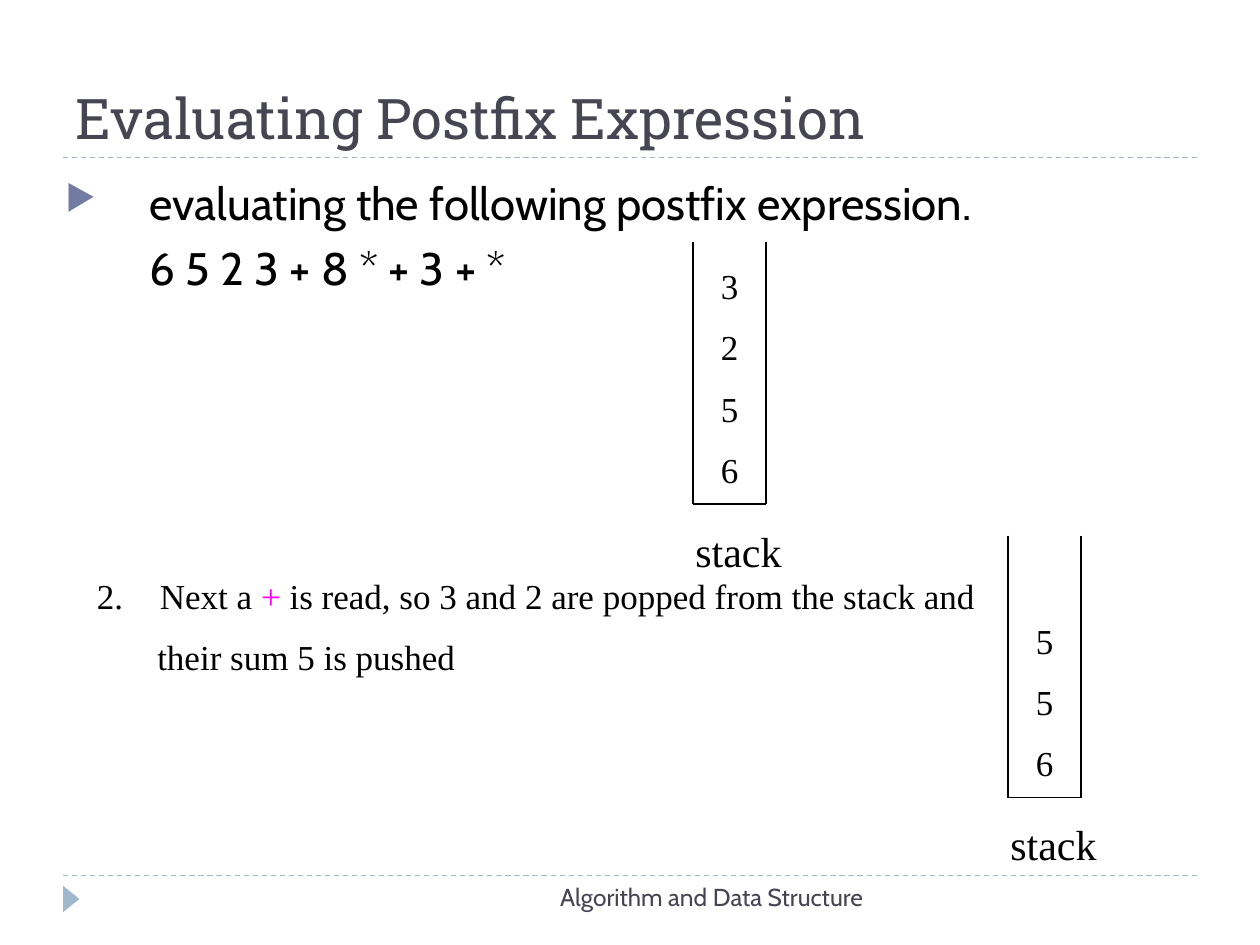
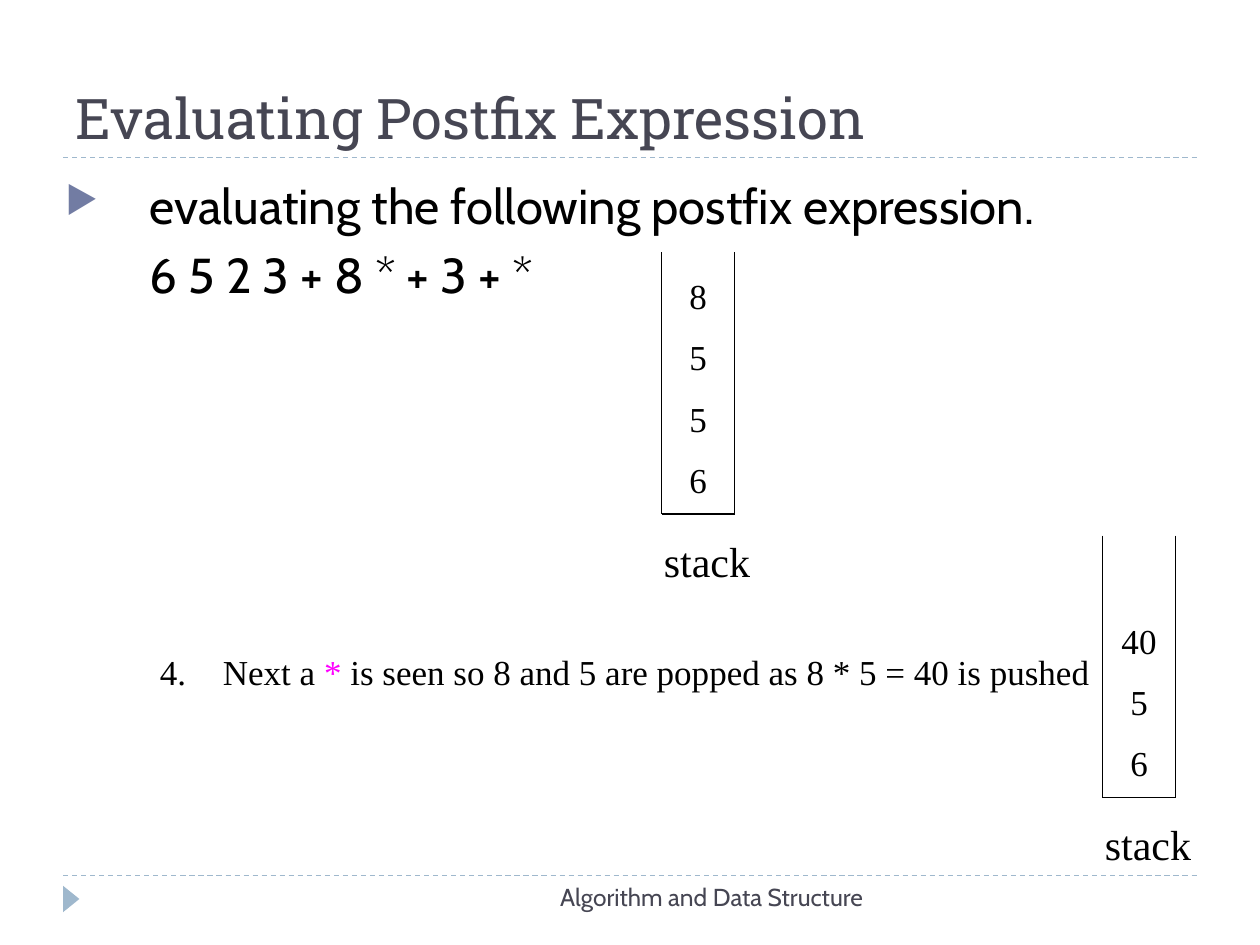
from lxml import etree
from pptx import Presentation
from pptx.dml.color import RGBColor
from pptx.enum.dml import MSO_LINE
from pptx.enum.shapes import MSO_CONNECTOR, MSO_SHAPE
from pptx.enum.text import MSO_ANCHOR, MSO_AUTO_SIZE, PP_ALIGN
from pptx.oxml.ns import qn
from pptx.util import Inches, Pt

STRAIGHT = MSO_CONNECTOR.STRAIGHT
TRIANGLE = MSO_SHAPE.ISOSCELES_TRIANGLE
DASH = MSO_LINE.DASH
TOP, BOTTOM = MSO_ANCHOR.TOP, MSO_ANCHOR.BOTTOM
LEFT, CENTER, RIGHT = PP_ALIGN.LEFT, PP_ALIGN.CENTER, PP_ALIGN.RIGHT

BLACK = RGBColor(0x00, 0x00, 0x00)
SLATE = RGBColor(0x46, 0x46, 0x53)
PALE_BLUE = RGBColor(0x9F, 0xB8, 0xCD)
BULLET_BLUE = RGBColor(0x72, 0x7C, 0xA3)
MAGENTA = RGBColor(0xFF, 0x00, 0xFF)

HEADING_FONT = "Roboto Slab"
BODY_FONT = "Cabin"
FIGURE_FONT = "Times New Roman"

TITLE = "Evaluating Postfix Expression"
FOOTER = "Algorithm and Data Structure"
TASK = ["evaluating the following postfix expression.", "6 5 2 3 + 8 * + 3 + *"]

STACK_WIDTH, STACK_HEIGHT = 0.58, 2.08


def style_runs(paragraph, font, size, color):
    for run in paragraph.runs:
        run.font.name = font
        run.font.size = Pt(size)
        run.font.color.rgb = color


def indent(paragraph, margin, first_line=0):
    properties = paragraph._p.get_or_add_pPr()
    properties.set("marL", str(Inches(margin)))
    properties.set("indent", str(Inches(first_line)))
    return properties


class Deck:
    def __init__(self):
        self.presentation = Presentation()
        self.presentation.slide_width = Inches(10)
        self.presentation.slide_height = Inches(7.5)
        self.slide = None

    def new_slide(self):
        """Start a slide with the shared title, rules and footer."""
        layout = self.presentation.slide_layouts[5]
        self.slide = self.presentation.slides.add_slide(layout)
        for y in (6.95, 1.25):
            self.line(0.5, y, 9.5, y, PALE_BLUE, DASH)
        self.corner_marker()
        self.title()
        self.text([FOOTER], 3.17, 6.95, 3.78, 0.4, 14, BODY_FONT, SLATE, RIGHT)

    def title(self):
        title = self.slide.shapes.title
        title.left, title.top = Inches(0.5), Inches(0.17)
        title.width, title.height = Inches(9), Inches(1.08)
        frame = title.text_frame
        frame.text = TITLE
        frame.auto_size = MSO_AUTO_SIZE.NONE
        frame.vertical_anchor = BOTTOM
        frame.paragraphs[0].alignment = LEFT
        style_runs(frame.paragraphs[0], HEADING_FONT, 32, SLATE)

    def corner_marker(self):
        marker = self.slide.shapes.add_shape(
            TRIANGLE, Inches(0.46), Inches(7.07), Inches(0.21), Inches(0.13))
        marker.rotation = 90
        marker.shadow.inherit = False
        marker.fill.solid()
        marker.fill.fore_color.rgb = PALE_BLUE
        marker.line.fill.background()

    def line(self, x1, y1, x2, y2, color=BLACK, dash=None):
        line = self.slide.shapes.add_connector(
            STRAIGHT, Inches(x1), Inches(y1), Inches(x2), Inches(y2))
        line.line.color.rgb = color
        line.line.width = Pt(0.75)
        if dash:
            line.line.dash_style = dash
        etree.SubElement(line._element.spPr, qn("a:effectLst"))

    def text(self, lines, x, y, width, height, size, font=FIGURE_FONT,
             color=BLACK, align=LEFT, anchor=TOP, gap=11):
        """Add a text box with one paragraph per line and return its paragraphs."""
        box = self.slide.shapes.add_textbox(
            Inches(x), Inches(y), Inches(width), Inches(height))
        frame = box.text_frame
        frame.word_wrap = True
        frame.vertical_anchor = anchor
        frame.text = "\n".join(lines)
        for number, paragraph in enumerate(frame.paragraphs):
            paragraph.alignment = align
            if number:
                paragraph.space_before = Pt(gap)
            style_runs(paragraph, font, size, color)
        return frame.paragraphs

    def task(self, size):
        """Add the bulleted task and its expression."""
        heading, expression = self.text(
            TASK, 0.42, 1.34, 8.5, 1.33, size, BODY_FONT, gap=6)
        properties = indent(heading, 0.67, -0.67)
        bullet_color = etree.SubElement(properties, qn("a:buClr"))
        etree.SubElement(bullet_color, qn("a:srgbClr"), val=str(BULLET_BLUE))
        etree.SubElement(properties, qn("a:buSzPct"), val="76000")
        etree.SubElement(properties, qn("a:buChar"), char="▶")
        indent(expression, 0.67)

    def step(self, number, operator, lines, x, y):
        """Add a numbered step whose first operator is highlighted."""
        paragraphs = self.text(lines, x, y, 8.83, 0.47 * len(lines), 20)
        first = paragraphs[0]
        before, _, after = lines[0].partition(operator)
        first.text = before
        for part in (operator, after):
            first.add_run().text = part
        style_runs(first, FIGURE_FONT, 20, BLACK)
        first.runs[1].font.color.rgb = MAGENTA
        etree.SubElement(indent(first, 0.5, -0.5), qn("a:buAutoNum"),
                         type="arabicPeriod", startAt=str(number))
        for continuation in paragraphs[1:]:
            indent(continuation, 0.48)

    def stack(self, values, x, y):
        """Draw an open-topped stack, its values listed from the top down."""
        right, floor = x + STACK_WIDTH, y + STACK_HEIGHT
        self.line(x, floor, right, floor)
        for side in (x, right):
            self.line(side, y, side, floor)
        self.text(values, x, y + 0.17, STACK_WIDTH, 1.85, 20,
                  align=CENTER, anchor=BOTTOM)
        self.text(["stack"], x - 0.08, floor + 0.12, 0.92, 0.5, 24)


def main():
    deck = Deck()

    deck.new_slide()
    deck.task(26)
    deck.stack(["3", "2", "5", "6"], 5.5, 1.92)
    deck.step(2, "+", ["Next a + is read, so 3 and 2 are popped from the stack and",
                       "their sum 5 is pushed"], 0.67, 4.51)
    deck.stack(["5", "5", "6"], 8, 4.25)

    deck.new_slide()
    deck.task(28)
    deck.step(4, "*", ["Next a * is seen so 8 and 5 are popped as 8 * 5 = 40 is pushed"],
              1.17, 5.11)
    deck.stack(["40", "5", "6"], 8.75, 4.25)
    deck.stack(["8", "5", "5", "6"], 5.25, 2)

    deck.presentation.save("out.pptx")


if __name__ == "__main__":
    main()
